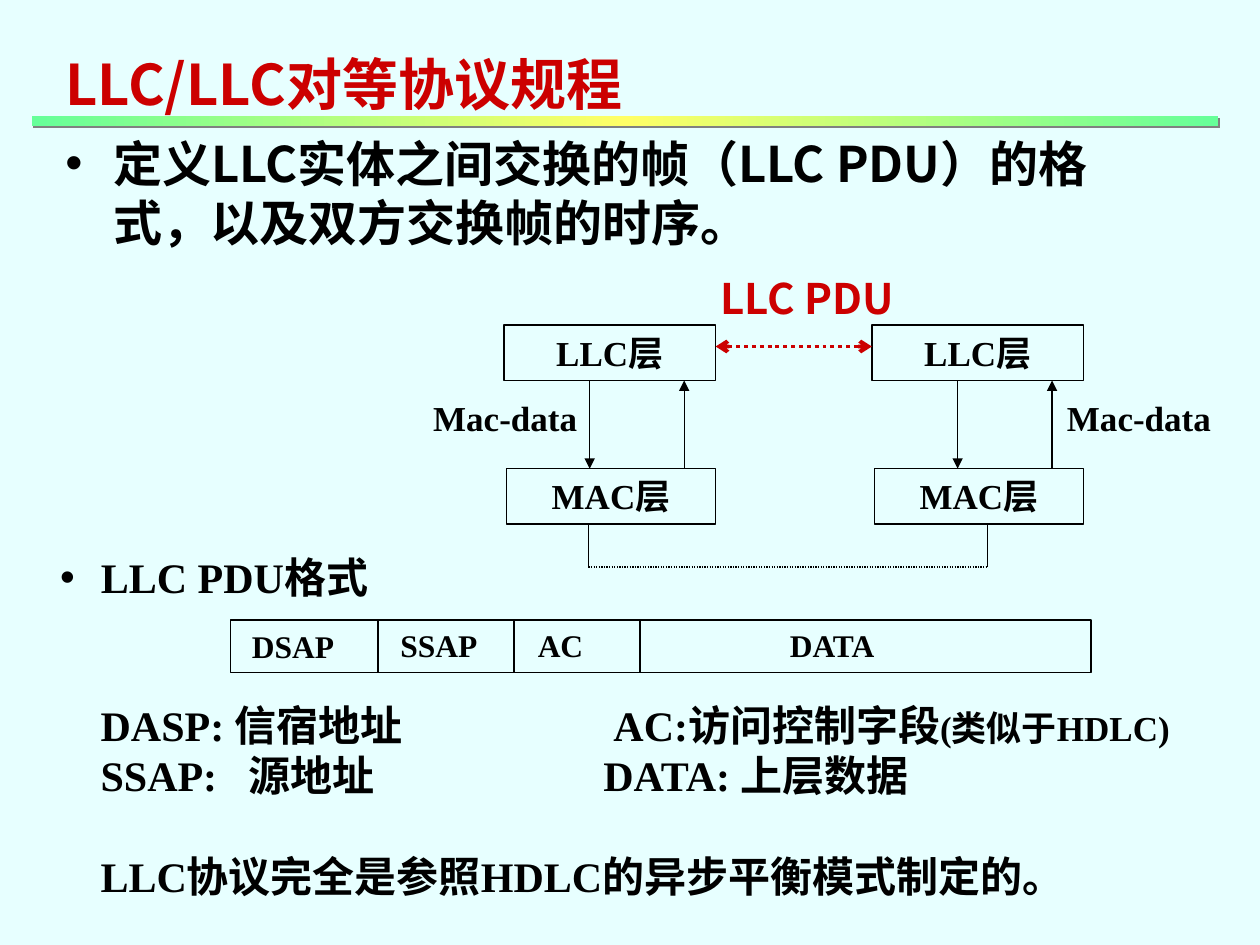
from dataclasses import dataclass
from typing import Optional

from lxml import etree
from pptx import Presentation
from pptx.dml.color import RGBColor
from pptx.enum.dml import MSO_LINE
from pptx.enum.shapes import MSO_CONNECTOR, MSO_SHAPE
from pptx.enum.text import MSO_ANCHOR, MSO_AUTO_SIZE, PP_ALIGN
from pptx.oxml.ns import qn
from pptx.util import Inches, Pt

RECTANGLE = MSO_SHAPE.RECTANGLE
STRAIGHT = MSO_CONNECTOR.STRAIGHT
DOTTED = MSO_LINE.ROUND_DOT
LEFT, CENTER = PP_ALIGN.LEFT, PP_ALIGN.CENTER


@dataclass(frozen=True)
class Theme:
    background: str = "E7FFFF"
    ink: str = "000000"
    accent: str = "CC0000"
    bar_edge: str = "66FF99"
    bar_middle: str = "FFFF66"
    shadow: str = "808080"
    serif: str = "Times New Roman"
    sans: str = "Noto Sans CJK SC"
    title: int = 32
    lead: int = 28
    body: int = 24
    node: int = 20
    field: int = 18
    leading: float = 1.2
    thin: float = 0.75
    thick: float = 2.25


THEME = Theme()


@dataclass(frozen=True)
class TextStyle:
    size: int
    font: str = THEME.serif
    color: str = THEME.ink
    align: PP_ALIGN = LEFT


@dataclass(frozen=True)
class Line:
    start: tuple[float, float]
    end: tuple[float, float]
    color: str = THEME.ink
    width: float = THEME.thin
    dash: Optional[MSO_LINE] = None
    head: Optional[str] = None
    tail: Optional[str] = None


@dataclass(frozen=True)
class Field:
    name: str
    label_left: float
    label_top: float
    label_width: float


TITLE = TextStyle(THEME.title, THEME.sans, THEME.accent)
LEAD = TextStyle(THEME.lead, THEME.sans)
PDU = TextStyle(THEME.body, THEME.sans, THEME.accent)
BODY = TextStyle(THEME.body)
NOTE = TextStyle(THEME.node)
NODE = TextStyle(THEME.node, align=CENTER)
FIELD = TextStyle(THEME.field)

STACK_OFFSETS = (0, 2.92)
MAC_DATA_PLACES = ((3.34, 3.1), (8.37, 3.1))
FIELDS = (
    Field("DSAP", 1.9, 4.93, 0.85),
    Field("SSAP", 3.08, 4.92, 0.81),
    Field("AC", 4.17, 4.92, 0.56),
    Field("DATA", 6.17, 4.92, 0.91),
)
FIELD_BORDERS = (3, 4.08, 5.08)


def add_run(paragraph, text: str, style: TextStyle) -> None:
    run = paragraph.add_run()
    run.text = text
    formats = {"size": Pt(style.size), "bold": True, "name": style.font}
    for name, value in formats.items():
        setattr(run.font, name, value)
    run.font.color.rgb = RGBColor.from_string(style.color)
    east_asian = etree.Element(qn("a:ea"), typeface=THEME.sans)
    run.font._element.find(qn("a:latin")).addnext(east_asian)


def write(paragraph, text: str, style: TextStyle) -> None:
    """Set one paragraph with a fixed line pitch."""
    formats = {
        "alignment": style.align,
        "line_spacing": Pt(round(style.size * THEME.leading, 1)),
        "space_before": Pt(0),
        "space_after": Pt(0),
    }
    for name, value in formats.items():
        setattr(paragraph, name, value)
    add_run(paragraph, text, style)


def prepare_frame(shape, wrap: bool = True):
    frame = shape.text_frame
    formats = {
        "word_wrap": wrap,
        "auto_size": MSO_AUTO_SIZE.NONE,
        "vertical_anchor": MSO_ANCHOR.TOP,
    }
    for name, value in formats.items():
        setattr(frame, name, value)
    return frame


def add_text(slide, box: tuple, text: str, style: TextStyle, wrap: bool = False):
    shape = slide.shapes.add_textbox(*map(Inches, box))
    frame = prepare_frame(shape, wrap)
    write(frame.paragraphs[0], text, style)
    return frame


def add_bullet(paragraph, indent: float) -> None:
    properties = paragraph._p.get_or_add_pPr()
    properties.set("marL", str(Inches(indent)))
    properties.set("indent", str(-Inches(indent)))
    color = etree.SubElement(properties, qn("a:buClr"))
    etree.SubElement(color, qn("a:srgbClr"), val=THEME.ink)
    etree.SubElement(properties, qn("a:buFont"), typeface="Arial")
    etree.SubElement(properties, qn("a:buChar"), char="•")


def add_tabs(paragraph, positions: tuple) -> None:
    tabs = etree.SubElement(paragraph._p.get_or_add_pPr(), qn("a:tabLst"))
    for position in positions:
        etree.SubElement(tabs, qn("a:tab"), pos=str(Inches(position)), algn="l")


def add_box(slide, box: tuple, text: str = "") -> None:
    shape = slide.shapes.add_shape(RECTANGLE, *map(Inches, box))
    shape.shadow.inherit = False
    shape.fill.background()
    shape.line.color.rgb = RGBColor.from_string(THEME.ink)
    shape.line.width = Pt(THEME.thin)
    if text:
        write(prepare_frame(shape).paragraphs[0], text, NODE)


def add_line(slide, line: Line) -> None:
    connector = slide.shapes.add_connector(
        STRAIGHT, *map(Inches, line.start + line.end))
    connector.line.color.rgb = RGBColor.from_string(line.color)
    connector.line.width = Pt(line.width)
    if line.dash:
        connector.line.dash_style = line.dash
    outline = connector.line._get_or_add_ln()
    for tag, arrow in (("a:headEnd", line.head), ("a:tailEnd", line.tail)):
        if arrow:
            etree.SubElement(outline, qn(tag), type=arrow)
    etree.SubElement(connector._element.spPr, qn("a:effectLst"))


def add_title(slide) -> None:
    title = slide.shapes.title
    places = {"left": 0.42, "top": 0.34, "width": 8.5, "height": 0.7}
    for name, value in places.items():
        setattr(title, name, Inches(value))
    write(prepare_frame(title).paragraphs[0], "LLC/LLC对等协议规程", TITLE)


def add_title_bar(slide) -> None:
    bar = slide.shapes.add_shape(RECTANGLE, *map(Inches, (0.25, 0.92, 9.42, 0.08)))
    bar.shadow.inherit = False
    bar.line.fill.background()
    bar.fill.gradient()
    bar.fill.gradient_angle = 0
    stops = bar._element.spPr.find(qn("a:gradFill")).find(qn("a:gsLst"))
    for stop in list(stops):
        stops.remove(stop)
    colors = (THEME.bar_edge, THEME.bar_middle, THEME.bar_edge)
    for index, color in enumerate(colors):
        stop = etree.SubElement(stops, qn("a:gs"), pos=str(index * 50000))
        etree.SubElement(stop, qn("a:srgbClr"), val=color)
    effects = bar._element.spPr.find(qn("a:effectLst"))
    shadow = etree.SubElement(effects, qn("a:outerShdw"), dist=str(Pt(1.4)),
                              dir="2700000", algn="ctr", rotWithShape="0")
    etree.SubElement(shadow, qn("a:srgbClr"), val=THEME.shadow)


def add_layer_diagram(slide) -> None:
    for offset, place in zip(STACK_OFFSETS, MAC_DATA_PLACES):
        add_box(slide, (4 + offset, 2.58, 1.68, 0.44), "LLC层")
        add_box(slide, (4.02 + offset, 3.72, 1.66, 0.44), "MAC层")
        for left, start, end in ((4.68, 3.02, 3.72), (5.43, 3.72, 3.02)):
            x = left + offset
            add_line(slide, Line((x, start), (x, end), tail="triangle"))
        add_text(slide, place + (1.34, 0.44), "Mac-data", NODE)
    for x in (4.67, 7.84):
        add_line(slide, Line((x, 4.16), (x, 4.5)))
    add_line(slide, Line((4.67, 4.5), (7.84, 4.5), dash=DOTTED))
    add_line(slide, Line((5.68, 2.75), (6.92, 2.75), THEME.accent, THEME.thick,
                         DOTTED, "arrow", "arrow"))
    add_text(slide, (5.62, 2.11, 1.6, 0.5), "LLC PDU", PDU)


def add_frame_format(slide) -> None:
    add_box(slide, (1.83, 4.92, 6.83, 0.42))
    for x in FIELD_BORDERS:
        add_line(slide, Line((x, 4.92), (x, 5.34)))
    for field in FIELDS:
        box = (field.label_left, field.label_top, field.label_width, 0.4)
        add_text(slide, box, field.name, FIELD)


def add_definitions(slide) -> None:
    frame = add_text(slide, (0.7, 5.5, 9.15, 1.7),
                     "DASP: 信宿地址\tAC:访问控制字段", BODY, wrap=True)
    first, second, closing = (
        frame.paragraphs[0], frame.add_paragraph(), frame.add_paragraph())
    add_tabs(first, (4.07,))
    add_run(first, "(类似于HDLC)", NOTE)
    write(second, "SSAP:\t源地址\tDATA: 上层数据", BODY)
    add_tabs(second, (1.17, 3.99))
    write(closing, "LLC协议完全是参照HDLC的异步平衡模式制定的。", BODY)
    closing.space_before = Pt(THEME.body * THEME.leading)


def main() -> None:
    presentation = Presentation()
    presentation.slide_width, presentation.slide_height = Inches(10), Inches(7.5)
    slide = presentation.slides.add_slide(presentation.slide_layouts[5])
    slide.background.fill.solid()
    slide.background.fill.fore_color.rgb = RGBColor.from_string(THEME.background)
    add_title(slide)
    lead = add_text(slide, (0.42, 1.01, 8.5, 1.02),
                    "定义LLC实体之间交换的帧（LLC PDU）的格式，以及双方交换帧的时序。",
                    LEAD, wrap=True)
    add_bullet(lead.paragraphs[0], 0.38)
    add_layer_diagram(slide)
    add_frame_format(slide)
    heading = add_text(slide, (0.38, 4.33, 3, 0.5), " LLC PDU格式", BODY, wrap=True)
    add_bullet(heading.paragraphs[0], 0.24)
    add_definitions(slide)
    add_title_bar(slide)
    presentation.save("out.pptx")


if __name__ == "__main__":
    main()
